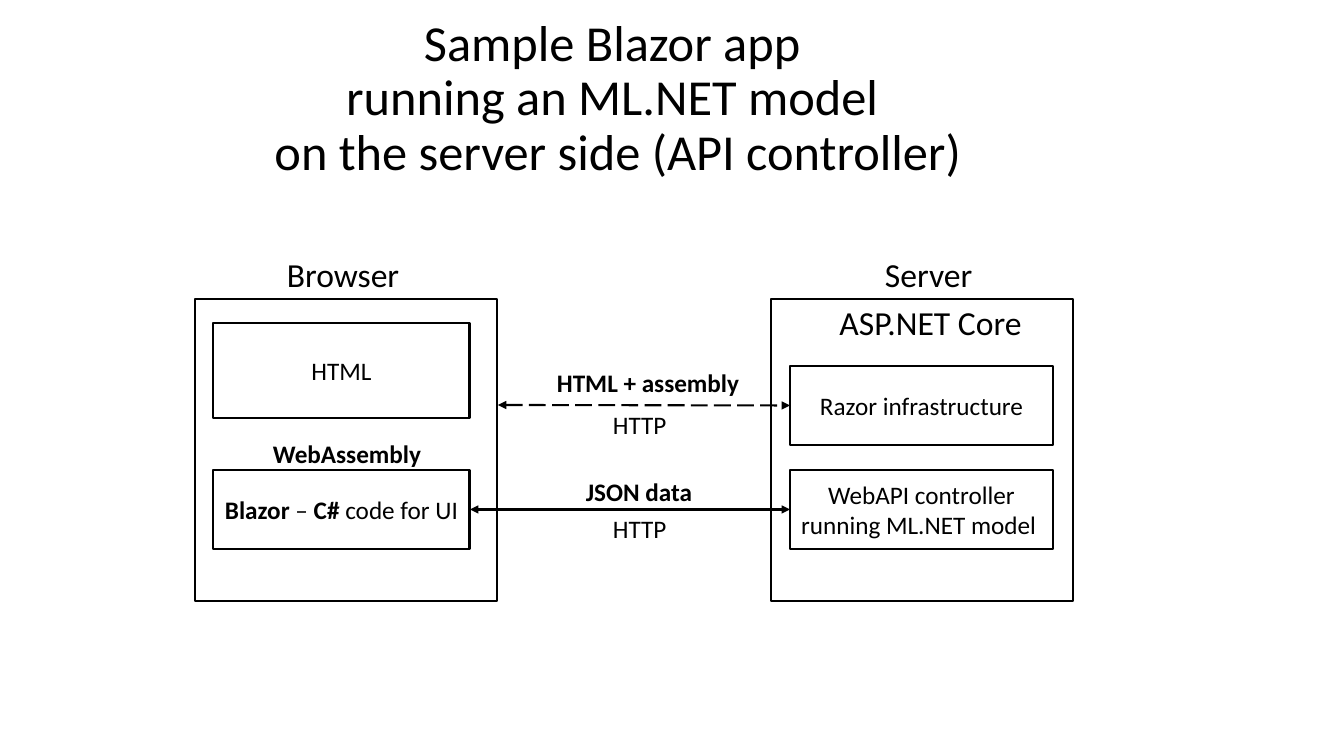
from pptx import Presentation
from pptx.dml.color import RGBColor
from pptx.enum import dml, shapes, text
from pptx.oxml import parse_xml
from pptx.oxml.ns import nsdecls
from pptx.util import Emu, Pt

SCALE = 914400 / 100.8
FONT, INK = "Calibri", "000000"
LEFT, MID = text.PP_ALIGN.LEFT, text.PP_ALIGN.CENTER
WEST, EAST = 1, 3  # connection sites of a rectangle


def px(*nums):
    """Turn pixels into EMU lengths."""
    return [Emu(round(n * SCALE)) for n in nums]


def color(hue):
    """Read a hex string as a colour."""
    return RGBColor.from_string(hue)


def add_run(para, words, size, bold=False):
    """Add one formatted run to a paragraph."""
    run = para.add_run()
    run.text = words
    font = run.font
    font.name, font.size, font.bold = FONT, Pt(size), bold
    font.color.rgb = color(INK)


def write(frame, lines, size, align):
    """Fill a frame; each line is a list of (words, bold) runs."""
    for i, line in enumerate(lines):
        para = frame.add_paragraph() if i else frame.paragraphs[0]
        para.alignment = align
        for words, bold in line:
            add_run(para, words, size, bold)


def label(slide, box, words, size=18, bold=False, align=LEFT):
    """Place a one-line text, with spare room at right if left-aligned."""
    frame = slide.shapes.add_textbox(*px(*box)).text_frame
    frame.word_wrap = False
    if align == LEFT:
        frame.margin_right = 0
    write(frame, [[(words, bold)]], size, align)


def block(slide, box, lines=()):
    """Draw an outlined rectangle with centred text."""
    rect = slide.shapes.add_shape(shapes.MSO_SHAPE.RECTANGLE, *px(*box))
    rect.shadow.inherit = False
    rect.fill.background()
    rect.line.color.rgb = color(INK)
    rect.line.width = Pt(2)
    rect.text_frame.vertical_anchor = text.MSO_ANCHOR.MIDDLE
    write(rect.text_frame, lines, 18, MID)
    return rect


def heading(slide, box, lines):
    """Set the title as lines with soft breaks."""
    title = slide.shapes.title
    title.left, title.top, title.width, title.height = px(*box)
    frame = title.text_frame
    frame.auto_size = text.MSO_AUTO_SIZE.NONE
    frame.vertical_anchor = text.MSO_ANCHOR.BOTTOM
    para = frame.paragraphs[0]
    para.alignment, para.line_spacing = MID, 0.9
    for i, line in enumerate(lines):
        if i:
            para.add_line_break()
        add_run(para, line, 36)


def browser(slide, box):
    """Draw the browser side; return its code block."""
    x, y, w, h = box
    block(slide, box)
    label(slide, (x + 82, y - 50, 137, 50), "Browser", 24)
    block(slide, (x + 18, y + 24, 257, 95), [[("HTML", False)]])
    label(slide, (x + 68, y + 134, 180, 40), "WebAssembly", bold=True)
    return block(slide, (x + 18, y + 171, 257, 79), [
        [("Blazor", True), (" – ", False), ("C#", True),
         (" code for UI", False)]])


def server(slide, box):
    """Draw the server side; return its two blocks."""
    x, y, w, h = box
    block(slide, box)
    label(slide, (x + 104, y - 50, 137, 50), "Server", 24)
    label(slide, (x + 57, y - 2, 205, 50), "ASP.NET Core", 24, align=MID)
    razor = block(slide, (x + 19, y + 67, 263, 79),
                  [[("Razor infrastructure", False)]])
    api = block(slide, (x + 19, y + 171, 263, 79),
                [[("WebAPI controller", False)],
                 [("running ML.NET model ", False)]])
    return razor, api


def link(slide, box, words, span, shift=0, lift=38, dash=None):
    """Draw a two-way arrow with its payload above and HTTP below."""
    x, y, w, h = box
    line = slide.shapes.add_connector(
        shapes.MSO_CONNECTOR.STRAIGHT, *px(x, y, x + w, y + h))
    line.line.color.rgb = color(INK)
    line.line.width = Pt(1.5)
    if dash:
        line.line.dash_style = dash
    stroke = line.line._get_or_add_ln()
    for end in ("headEnd", "tailEnd"):
        stroke.append(parse_xml(
            f'<a:{end} {nsdecls("a")} type="triangle"/>'))
    line._element.spPr.append(parse_xml(f'<a:effectLst {nsdecls("a")}/>'))
    mid = 640
    label(slide, (mid + shift - span // 2, y - lift, span, 40), words,
          bold=True)
    label(slide, (mid - 37, y - 1, 75, 40), "HTTP")
    return line


def main():
    """Build the slide and save it."""
    deck = Presentation()
    deck.slide_width, deck.slide_height = px(1344, 756)
    slide = deck.slides.add_slide(deck.slide_layouts[5])
    heading(slide, (0, 4, 1236, 182),
            ["Sample Blazor app ", "running an ML.NET model ",
             "on the server side (API controller)"])
    code = browser(slide, (195, 299, 302, 302))
    razor, api = server(slide, (771, 299, 302, 302))
    page = link(slide, (498, 405, 292, 0), "HTML + assembly", 205, 9, 43,
                dml.MSO_LINE.LONG_DASH)
    page.end_connect(razor, WEST)
    data = link(slide, (470, 509, 320, 0), "JSON data", 128)
    data.begin_connect(code, EAST)
    data.end_connect(api, WEST)
    deck.save("out.pptx")


main()
